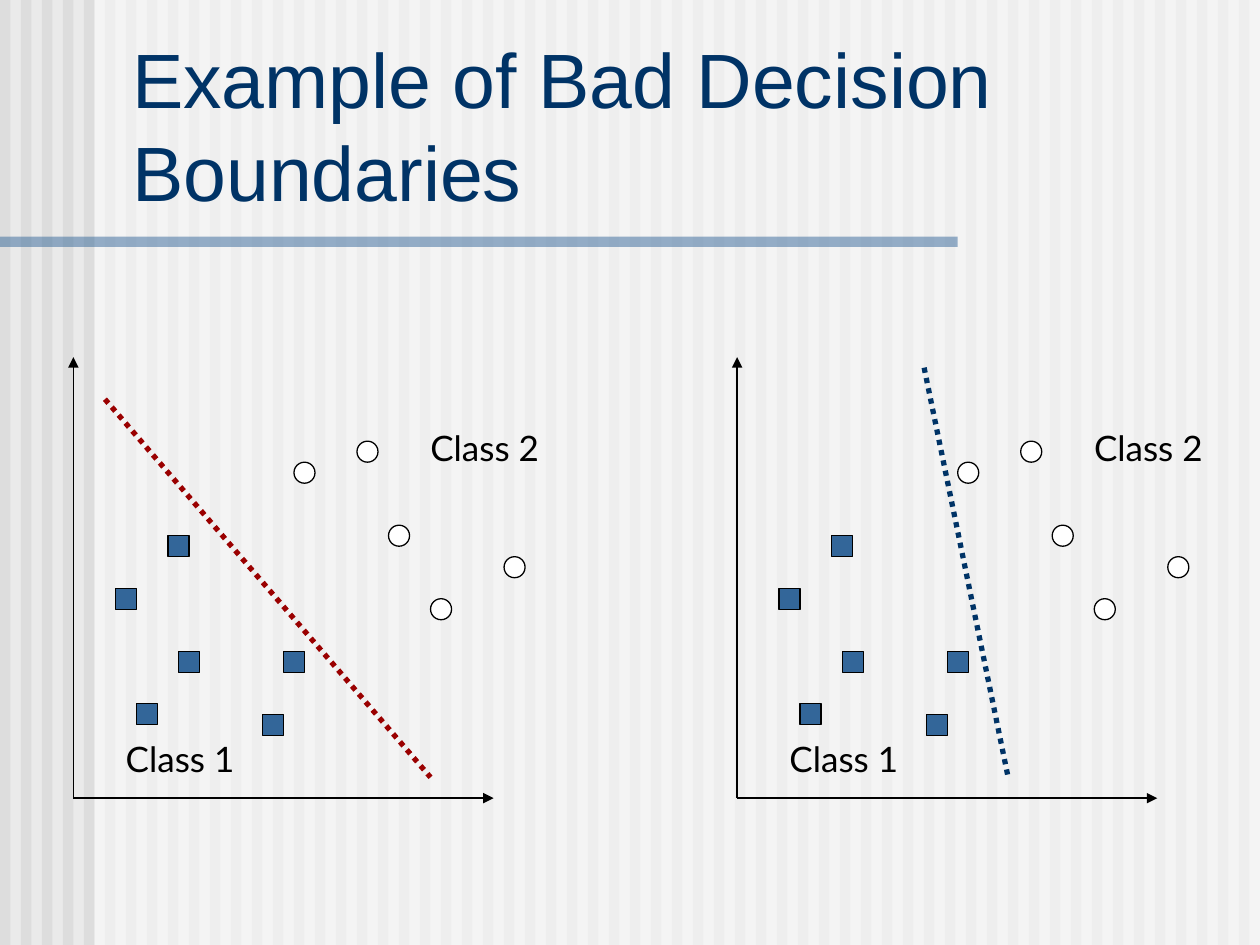
from lxml.etree import SubElement
from pptx import Presentation
from pptx.dml.color import RGBColor
from pptx.enum.dml import MSO_LINE_DASH_STYLE as DASH
from pptx.enum.shapes import MSO_CONNECTOR as CONN, MSO_SHAPE as SHAPE
from pptx.enum.text import MSO_ANCHOR as ANCHOR, MSO_AUTO_SIZE as FIT, PP_ALIGN as ALIGN
from pptx.oxml.ns import qn
from pptx.util import Cm, Pt

COLORS = {
    "background": "EAEAEA", "stripe": "DDDDDD", "white": "FFFFFF",
    "blue": "336699", "navy": "003366", "red": "9A0000", "black": "000000",
}
WIDTH, HEIGHT = 25.4, 19.05
STRIPES = 60
PLOT_UNITS = 40
MARKER = 2
CLASS_1 = [(4, 22), (20, 28), (18, 34), (10, 28), (6, 33), (9, 17)]
CLASS_2 = [(27, 8), (30, 16), (41, 19), (21, 10), (34, 23)]
LABELS = [("Class 1", 3.8, 35.6), ("Class 2", 32.8, 6)]
PLOTS = [
    (1.48, (3, 4), (34, 40), "red"),
    (14.86, (17.8, 1), (25.8, 40), "navy"),
]


def rgb(name):
    return RGBColor.from_string(COLORS[name])


def add_block(slide, kind, box, fill, outline=None, alpha=None):
    sp = slide.shapes.add_shape(kind, *map(Cm, box))
    sp.shadow.inherit = False
    sp.fill.solid()
    sp.fill.fore_color.rgb = rgb(fill)
    if alpha:
        color = sp.fill._xPr.find(qn("a:solidFill"))[0]
        SubElement(color, qn("a:alpha")).set("val", str(alpha * 1000))
    if outline:
        sp.line.color.rgb = rgb(outline)
        sp.line.width = Pt(0.75)
    else:
        sp.line.fill.background()


def add_line(slide, start, end, color, width, dash=None, arrow=False):
    cxn = slide.shapes.add_connector(CONN.STRAIGHT, *map(Cm, start + end))
    cxn.line.color.rgb = rgb(color)
    cxn.line.width = Pt(width)
    if dash:
        cxn.line.dash_style = dash
    if arrow:
        SubElement(cxn.line._get_or_add_ln(), qn("a:tailEnd")).set("type", "triangle")
    SubElement(cxn._element.spPr, qn("a:effectLst"))


def add_run(p, text, font, size, color):
    r = p.add_run()
    r.text = text
    r.font.name = font
    r.font.size = Pt(size)
    r.font.color.rgb = rgb(color)


def add_backdrop(slide, left, top, width, height):
    slide.background.fill.solid()
    slide.background.fill.fore_color.rgb = rgb("background")
    pitch = width / STRIPES
    for i in range(STRIPES):
        add_block(slide, SHAPE.RECTANGLE, (left + i * pitch, top, pitch / 2, height), "stripe")
    margin = 4.5 * pitch
    add_block(slide, SHAPE.RECTANGLE, (left + margin, top, width - margin, height),
              "white", alpha=50)
    add_block(slide, SHAPE.RECTANGLE, (left, top + 4.77, 0.76 * width, 0.21),
              "blue", alpha=50)


def add_title(slide, left, top, width, height):
    title = slide.shapes.title
    slide.shapes._spTree.append(title._element)
    title.left, title.top, title.width, title.height = map(Cm, (left, top, width, height))
    tf = title.text_frame
    tf.auto_size = FIT.NONE
    tf.word_wrap = True
    tf.vertical_anchor = ANCHOR.BOTTOM
    p = tf.paragraphs[0]
    p.alignment = ALIGN.LEFT
    add_run(p, "Example of Bad Decision Boundaries", "Arial", 44, "navy")


def add_label(slide, text, left, top, width, height):
    box = slide.shapes.add_textbox(*map(Cm, (left, top, width, height)))
    tf = box.text_frame
    tf.word_wrap = False
    tf.auto_size = FIT.SHAPE_TO_FIT_TEXT
    add_run(tf.paragraphs[0], text, "Lato", 20, "black")


def add_plot(slide, left, top, width, height, start, end, color):
    unit = width / PLOT_UNITS

    def at(x, y):
        return left + x * unit, top + y * unit

    origin = (left, top + height)
    for tip in [(left, top), (left + width, top + height)]:
        add_line(slide, origin, tip, "black", 1, arrow=True)
    size = (MARKER * unit, MARKER * unit)
    for kind, fill, points in [(SHAPE.OVAL, "white", CLASS_2),
                               (SHAPE.RECTANGLE, "blue", CLASS_1)]:
        for point in points:
            add_block(slide, kind, at(*point) + size, fill, "black")
    for text, x, y in LABELS:
        add_label(slide, text, *at(x, y), 2.79, 1.12)
    add_line(slide, at(*start), at(*end), color, 3, DASH.ROUND_DOT)


def main():
    prs = Presentation()
    prs.slide_width, prs.slide_height = Cm(WIDTH), Cm(HEIGHT)
    slide = prs.slides.add_slide(prs.slide_layouts[5])
    add_backdrop(slide, 0, 0, WIDTH, HEIGHT)
    add_title(slide, 2.41, 1.47, 22.68, 3.02)
    for left, start, end, color in PLOTS:
        add_plot(slide, left, 7.2, 8.47, 8.89, start, end, color)
    prs.save("out.pptx")


if __name__ == "__main__":
    main()
